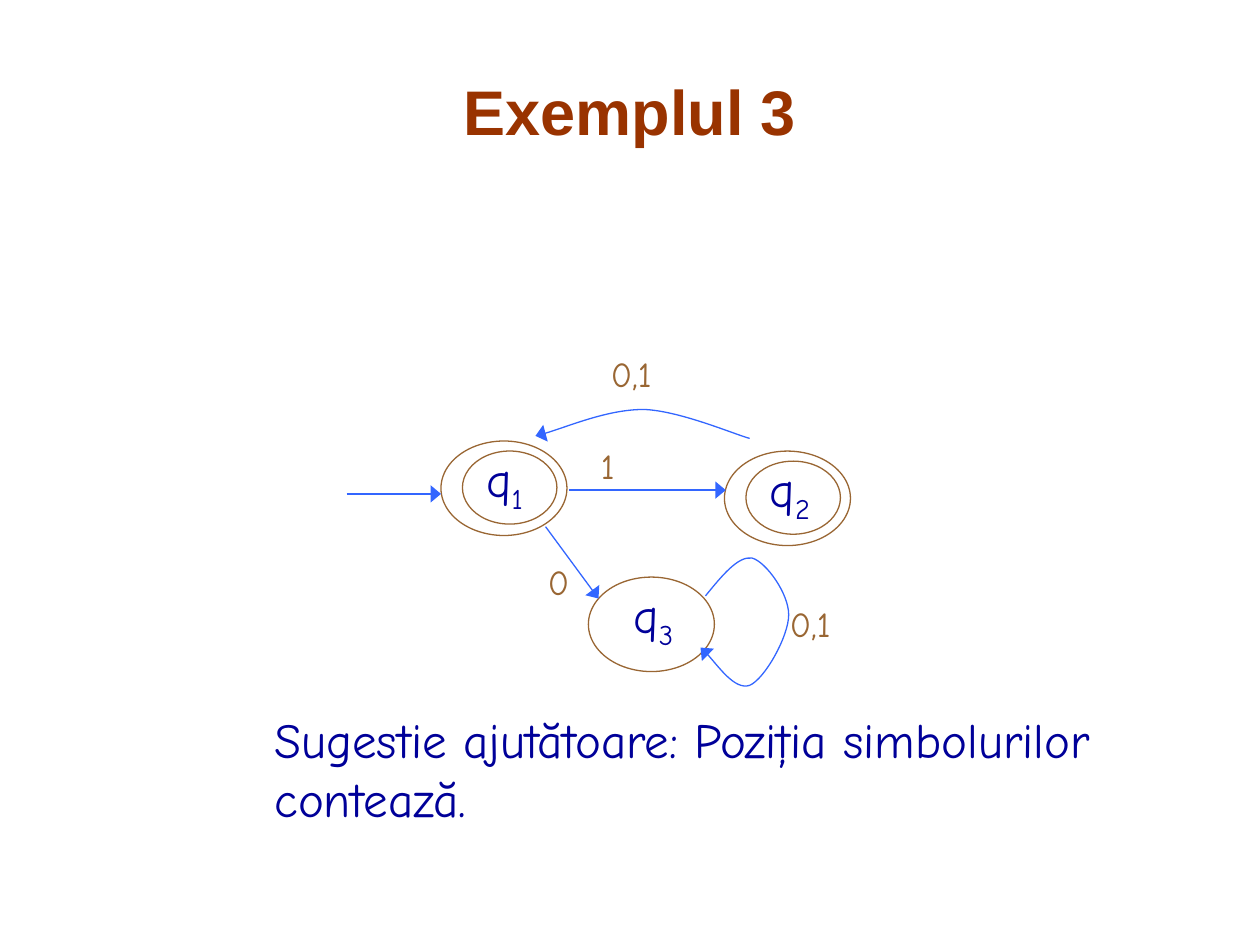
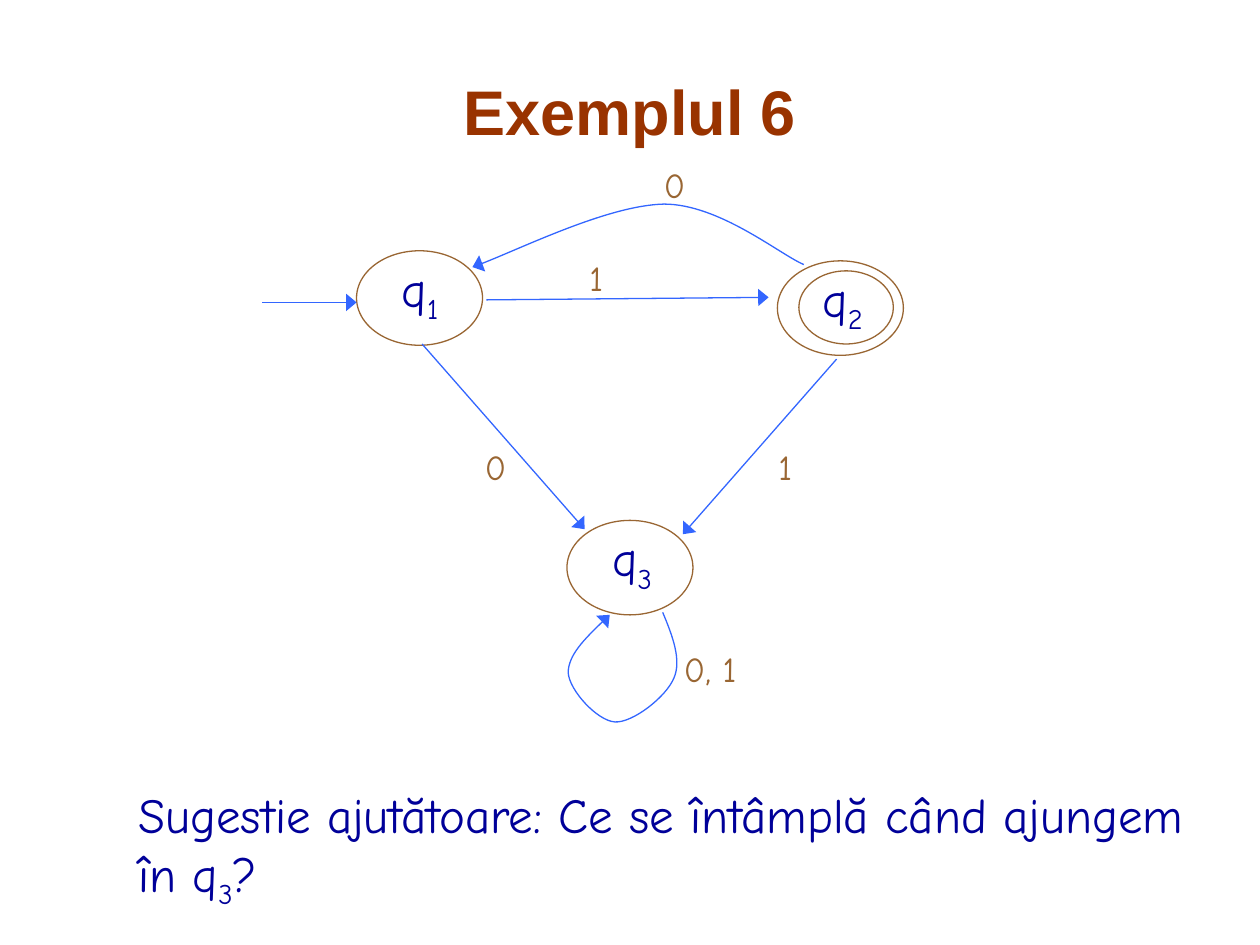
from lxml import etree
from pptx import Presentation
from pptx.dml.color import RGBColor
from pptx.enum import shapes, text
from pptx.oxml.ns import qn
from pptx.util import Inches, Pt

RUST = RGBColor(0x99, 0x33, 0x00)
BROWN = RGBColor(0x99, 0x66, 0x33)
NAVY = RGBColor(0x00, 0x00, 0x99)
BLUE = RGBColor(0x33, 0x66, 0xFF)
WHITE = RGBColor(0xFF, 0xFF, 0xFF)
BODY_FONT = "Comic Neue"

# Each automaton: states are (index, left, top, accepting); labels are (text, left, top);
# curves are a start point followed by groups of three Bézier points.
AUTOMATA = [
    {
        "title": "Exemplul 3",
        "states": [(1, 3.5, 3.5, True), (2, 5.75, 3.58, True), (3, 4.67, 4.58, False)],
        "arrows": [
            ((2.75, 3.92), (3.5, 3.92)),
            ((4.52, 3.89), (5.76, 3.89)),
            ((4.33, 4.18), (4.75, 4.75)),
        ],
        "curves": [
            [(5.95, 3.48), (5.81, 3.44), (5.39, 3.26), (5.11, 3.25),
             (4.82, 3.25), (4.43, 3.42), (4.25, 3.46)],
            [(5.6, 4.73), (5.73, 4.57), (5.86, 4.41), (5.97, 4.43),
             (6.08, 4.46), (6.26, 4.71), (6.26, 4.88),
             (6.26, 5.05), (6.07, 5.39), (5.95, 5.44),
             (5.83, 5.48), (5.63, 5.19), (5.56, 5.14)],
        ],
        "labels": [("1", 4.67, 3.48), ("0,1", 4.75, 2.75), ("0", 4.25, 4.4), ("0,1", 6.17, 4.73)],
        "hint_box": (2.08, 5.58, 6.92, 1.04),
        "hint": [("Sugestie ajutătoare: Poziția simbolurilor contează.", False)],
    },
    {
        "title": "Exemplul 6",
        "states": [(1, 2.83, 1.99, False), (2, 6.17, 2.07, True), (3, 4.5, 4.13, False)],
        "arrows": [
            ((2.08, 2.4), (2.83, 2.4)),
            ((3.86, 2.38), (6.1, 2.36)),
            ((6.64, 2.85), (5.42, 4.24)),
            ((3.35, 2.73), (4.64, 4.2)),
        ],
        "curves": [
            [(6.38, 2.1), (6.19, 2.02), (5.71, 1.62), (5.27, 1.62),
             (4.83, 1.63), (4.06, 2.01), (3.75, 2.12)],
            [(5.26, 4.86), (5.34, 5.05), (5.41, 5.24), (5.35, 5.38),
             (5.29, 5.53), (5.02, 5.74), (4.88, 5.73),
             (4.74, 5.72), (4.52, 5.48), (4.51, 5.34),
             (4.51, 5.2), (4.67, 5.04), (4.84, 4.88)],
        ],
        "labels": [("0, 1", 5.33, 5.09), ("0", 5.17, 1.25), ("1", 4.58, 1.99),
                   ("0", 3.75, 3.49), ("1", 6.08, 3.49)],
        "hint_box": (1, 6.18, 8.83, 1.1),
        "hint": [("Sugestie ajutătoare: Ce se întâmplă când ajungem în q", False),
                 ("3", True), ("?", False)],
    },
]


def add_text(page, place, spans, size, color, font=BODY_FONT, wrap=True, before=0):
    """Add a text box; each span is (words, is_subscript)."""
    box = page.shapes.add_textbox(*map(Inches, place))
    box.text_frame.word_wrap = wrap
    box.text_frame.auto_size = text.MSO_AUTO_SIZE.SHAPE_TO_FIT_TEXT
    para = box.text_frame.paragraphs[0]
    para.space_before = Pt(before)
    for words, subscript in spans:
        span = para.add_run()
        span.text = words
        span.font.name = font
        span.font.size = Pt(size)
        span.font.color.rgb = color
        if subscript:
            span.font._element.set("baseline", "-25000")
    return box


def style_arrow(arrow):
    """Give a line or open curve its colour, width and arrowhead."""
    arrow.line.color.rgb = BLUE
    arrow.line.width = Pt(0.75)
    etree.SubElement(arrow.line._get_or_add_ln(), qn("a:tailEnd"),
                     type="triangle", w="lg", len="med")


deck = Presentation()
deck.slide_width, deck.slide_height = Inches(10), Inches(7.5)

for automaton in AUTOMATA:
    page = deck.slides.add_slide(deck.slide_layouts[6])

    # Title
    title = add_text(page, (0.75, 0.5, 8.5, 0.75), [(automaton["title"], False)],
                     36, RUST, font="Arial")
    title.text_frame.auto_size = text.MSO_AUTO_SIZE.NONE
    title.text_frame.vertical_anchor = text.MSO_ANCHOR.MIDDLE
    title.text_frame.paragraphs[0].alignment = text.PP_ALIGN.CENTER
    title.text_frame.paragraphs[0].runs[0].font.bold = True
    title.fill.solid()
    title.fill.fore_color.rgb = WHITE

    # States, with an inner ring when accepting
    for index, left, top, accepting in automaton["states"]:
        name = add_text(page, (left + 0.26, top + 0.01, 0.6, 0.63),
                        [("q", False), (str(index), True)], 28, NAVY)
        name.text_frame.margin_right = 0
        rings = [(left, top, 1, 0.75)]
        if accepting:
            rings.append((left + 0.17, top + 0.08, 0.75, 0.58))
        for place in rings:
            ring = page.shapes.add_shape(shapes.MSO_SHAPE.OVAL, *map(Inches, place))
            ring.shadow.inherit = False
            ring.fill.background()
            ring.line.color.rgb = BROWN
            ring.line.width = Pt(0.75)

    # Straight transitions
    for start, end in automaton["arrows"]:
        arrow = page.shapes.add_connector(shapes.MSO_CONNECTOR.STRAIGHT,
                                          *map(Inches, start + end))
        style_arrow(arrow)
        etree.SubElement(arrow._element.spPr, qn("a:effectLst"))

    # Curved transitions: every three line segments become one Bézier segment
    for points in automaton["curves"]:
        start, *rest = [(Inches(x), Inches(y)) for x, y in points]
        builder = page.shapes.build_freeform(*start)
        builder.add_line_segments(rest, close=False)
        curve = builder.convert_to_shape()
        curve.shadow.inherit = False
        curve.fill.background()
        style_arrow(curve)
        outline = curve._element.find(".//" + qn("a:path"))
        segments = outline.findall(qn("a:lnTo"))
        for first in range(0, len(segments), 3):
            bezier = etree.SubElement(outline, qn("a:cubicBezTo"))
            for segment in segments[first:first + 3]:
                bezier.append(segment[0])
                outline.remove(segment)

    # Transition labels
    for symbols, left, top in automaton["labels"]:
        add_text(page, (left, top, 0.83, 0.44), [(symbols, False)], 20, BROWN, before=12.5)

    # Hint
    add_text(page, automaton["hint_box"], automaton["hint"], 28, NAVY, before=17.5)

deck.save("out.pptx")
